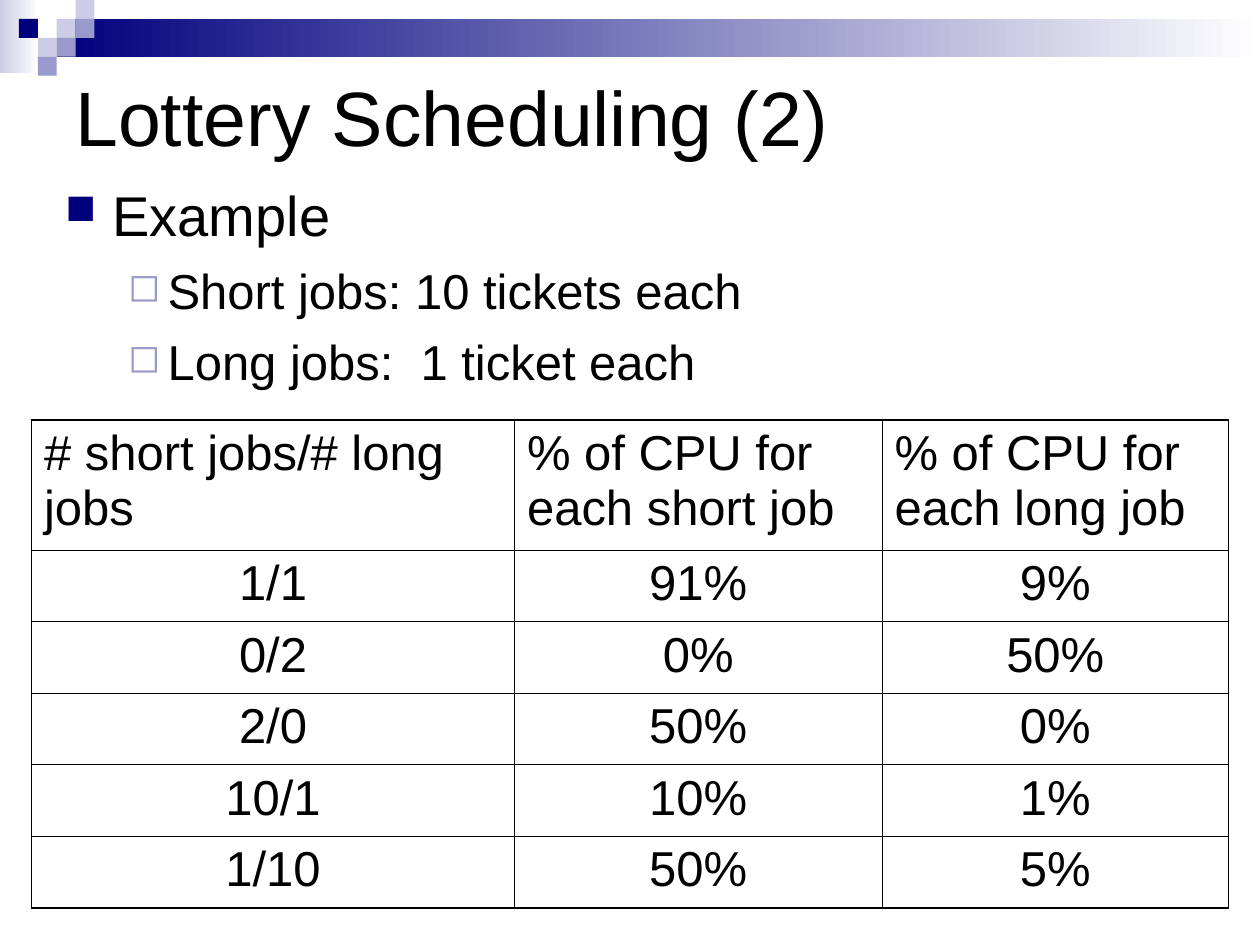
from lxml import etree
from pptx import Presentation
from pptx.dml.color import RGBColor
from pptx.enum.shapes import MSO_SHAPE
from pptx.enum.text import MSO_ANCHOR, PP_ALIGN
from pptx.oxml.ns import qn
from pptx.util import Pt

RECTANGLE = MSO_SHAPE.RECTANGLE
MIDDLE = MSO_ANCHOR.MIDDLE
LEFT, CENTER = PP_ALIGN.LEFT, PP_ALIGN.CENTER
BLACK = RGBColor(0x00, 0x00, 0x00)
WHITE = RGBColor(0xFF, 0xFF, 0xFF)
NAVY = RGBColor(0x00, 0x00, 0x7D)
PERIWINKLE = RGBColor(0x99, 0x99, 0xCC)
LAVENDER = RGBColor(0xCC, 0xCC, 0xE6)


def add_block(left, top, width, height, color, fades=False):
    block = slide.shapes.add_shape(RECTANGLE, Pt(left), Pt(top), Pt(width), Pt(height))
    block.shadow.inherit = False
    block.line.fill.background()
    if fades:
        block.fill.gradient()
        block.fill.gradient_angle = 0
        for stop, shade, position in zip(block.fill.gradient_stops, (color, WHITE), (0, 1)):
            stop.color.rgb = shade
            stop.position = position
    else:
        block.fill.solid()
        block.fill.fore_color.rgb = color


def add_words(paragraph, words, size):
    run = paragraph.add_run()
    run.text = words
    run.font.name = "Arial"
    run.font.size = Pt(size)
    run.font.color.rgb = BLACK


presentation = Presentation()
presentation.slide_width, presentation.slide_height = Pt(720), Pt(540)
slide = presentation.slides.add_slide(presentation.slide_layouts[6])

add_block(0, 0, 22.3, 41.8, LAVENDER, fades=True)
add_block(32.4, 10.8, 687.6, 21.6, NAVY, fades=True)
TILE = 10.8
for column, row, color in (
    (3, 1, LAVENDER), (4, 0, LAVENDER), (4, 1, PERIWINKLE), (2, 2, LAVENDER),
    (1, 1, NAVY), (3, 2, PERIWINKLE), (2, 3, PERIWINKLE),
):
    add_block(column * TILE, row * TILE, TILE, TILE, color)

title = slide.shapes.add_textbox(Pt(36), Pt(12.2), Pt(648), Pt(108)).text_frame
title.word_wrap = True
title.vertical_anchor = MIDDLE
add_words(title.paragraphs[0], "Lottery Scheduling (2)", 44)

example = slide.shapes.add_textbox(Pt(30.2), Pt(99.8), Pt(648), Pt(306)).text_frame
example.word_wrap = True
for index, (words, size, margin, hanging, bullet, color, scale) in enumerate((
    ("Example", 32, 27, 27, "■", NAVY, 75),
    ("Short jobs: 10 tickets each", 28, 58.5, 22.5, "◻", PERIWINKLE, 80),
    ("Long jobs:  1 ticket each", 28, 58.5, 22.5, "◻", PERIWINKLE, 80),
)):
    paragraph = example.add_paragraph() if index else example.paragraphs[0]
    properties = paragraph._p.get_or_add_pPr()
    properties.set("marL", str(Pt(margin)))
    properties.set("indent", str(-Pt(hanging)))
    bullet_color = etree.SubElement(properties, qn("a:buClr"))
    etree.SubElement(bullet_color, qn("a:srgbClr"), val=str(color))
    etree.SubElement(properties, qn("a:buSzPct"), val=str(scale * 1000))
    etree.SubElement(properties, qn("a:buChar"), char=bullet)
    if index:
        paragraph.level = 1
        paragraph.space_before = Pt(7)
    add_words(paragraph, words, size)

shares = (
    ("# short jobs/# long jobs", "% of CPU for each short job", "% of CPU for each long job"),
    ("1/1", "91%", "9%"),
    ("0/2", "0%", "50%"),
    ("2/0", "50%", "0%"),
    ("10/1", "10%", "1%"),
    ("1/10", "50%", "5%"),
)
widths = (276, 210, 198)
heights = (74.4,) + (40.85,) * 5
last_row, last_column = len(heights) - 1, len(widths) - 1
table = slide.shapes.add_table(
    len(heights), len(widths), Pt(18), Pt(240), Pt(sum(widths)), Pt(sum(heights))
).table
table.first_row = table.horz_banding = False
for column, width in zip(table.columns, widths):
    column.width = Pt(width)
for row, height in zip(table.rows, heights):
    row.height = Pt(height)

for r, entries in enumerate(shares):
    for c, entry in enumerate(entries):
        cell = table.cell(r, c)
        cell.margin_left = cell.margin_right = Pt(7.2)
        cell.margin_top = cell.margin_bottom = Pt(3.6)
        paragraph = cell.text_frame.paragraphs[0]
        paragraph.alignment = CENTER if r else LEFT
        add_words(paragraph, entry, 28)
        properties = cell._tc.get_or_add_tcPr()
        for side, is_outer in (
            ("L", c == 0), ("R", c == last_column), ("T", r == 0), ("B", r == last_row),
        ):
            border = etree.SubElement(
                properties, qn("a:ln" + side), w=str(Pt(1.08 if is_outer else 0.45))
            )
            border_fill = etree.SubElement(border, qn("a:solidFill"))
            etree.SubElement(border_fill, qn("a:srgbClr"), val=str(BLACK))
        cell.fill.background()

presentation.save("out.pptx")
